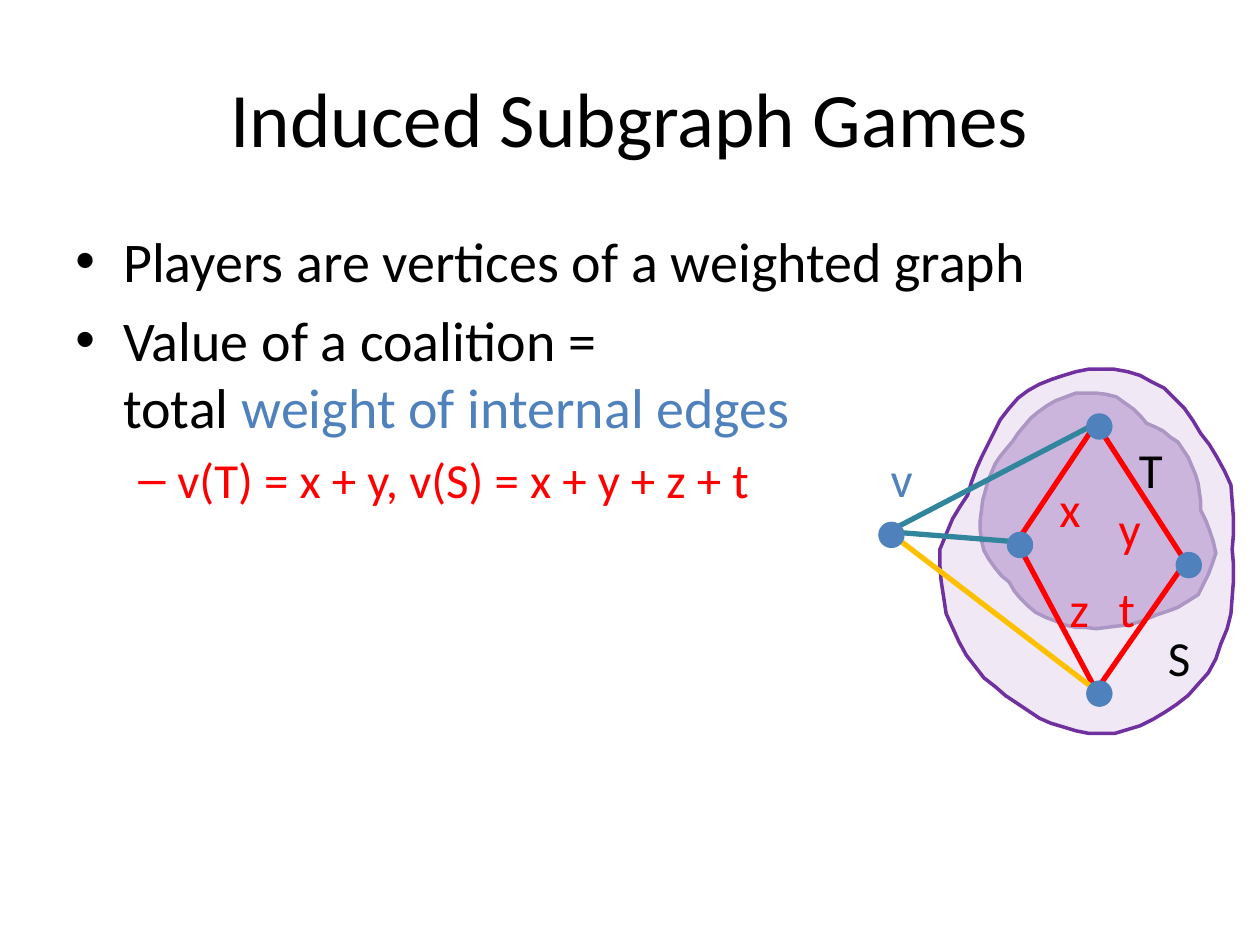
from math import cos, radians, sin

from lxml.etree import SubElement
from pptx import Presentation
from pptx.dml.color import RGBColor
from pptx.enum.shapes import MSO_CONNECTOR as CONNECTOR, MSO_SHAPE as SHAPE
from pptx.enum.text import MSO_ANCHOR as ANCHOR, MSO_AUTO_SIZE as AUTO_SIZE, PP_ALIGN as ALIGN
from pptx.oxml.ns import qn
from pptx.util import Pt

PX = 9144  # 100 px to the inch
BLACK = RGBColor(0x00, 0x00, 0x00)
RED = RGBColor(0xFF, 0x00, 0x00)
BLUE = RGBColor(0x4F, 0x81, 0xBD)
TEAL = RGBColor(0x31, 0x85, 0x9C)
AMBER = RGBColor(0xFF, 0xC0, 0x00)
PURPLE = RGBColor(0x70, 0x30, 0xA0)
LILAC = RGBColor(0xB3, 0xA2, 0xC7)


def add_run(paragraph, text, size=28, color=BLACK):
    run = paragraph.add_run()
    run.text = text
    run.font.name = "Calibri"
    run.font.size = Pt(size)
    run.font.color.rgb = color


def add_coalition(center, radius, wobble, line_color, opacity):
    """Draw a translucent ellipse with an uneven edge.

    wobble gives the reach of the edge in percent of the radius, at equal
    angles clockwise from the right; between them it changes evenly.
    """
    sector = 360 // len(wobble)
    points = []
    for angle in range(0, 360, 5):
        index, offset = divmod(angle, sector)
        start, end = wobble[index], wobble[(index + 1) % len(wobble)]
        reach = (start + (end - start) * offset / sector) / 100
        points.append((round(center[0] + radius[0] * reach * cos(radians(angle))),
                       round(center[1] + radius[1] * reach * sin(radians(angle)))))
    builder = slide.shapes.build_freeform(*points[0], scale=PX)
    builder.add_line_segments(points[1:], close=True)
    region = builder.convert_to_shape()
    region.shadow.inherit = False
    region.fill.solid()
    region.fill.fore_color.rgb = PURPLE
    color = region.fill._xPr.find(qn("a:solidFill"))[0]
    SubElement(color, qn("a:alpha"), val=str(opacity * 1000))
    region.line.color.rgb = line_color
    region.line.width = Pt(2)


presentation = Presentation()
presentation.slide_width = 1000 * PX
presentation.slide_height = 750 * PX
slide = presentation.slides.add_slide(presentation.slide_layouts[5])

# Title
title = slide.shapes.title
title.left, title.top, title.width, title.height = 50 * PX, 30 * PX, 900 * PX, 125 * PX
title.text_frame.vertical_anchor = ANCHOR.MIDDLE
title_paragraph = title.text_frame.paragraphs[0]
title_paragraph.alignment = ALIGN.CENTER
add_run(title_paragraph, "Induced Subgraph Games", size=44)

# Body: one style per outline level, then paragraphs made of lines of runs
LEVELS = [
    {"bullet": "•", "margin": 38, "hanging": 38, "size": 32},
    {"bullet": "–", "margin": 81, "hanging": 31, "size": 28},
]
BODY = [
    (0, [[("Players are vertices of a weighted graph", BLACK)]]),
    (0, [[("Value of a coalition = ", BLACK)],
         [("total ", BLACK), ("weight of internal edges", BLUE)]]),
    (1, [[("v(T) = x + y, v(S) = x + y + z + t", RED)]]),
]
body = slide.shapes.add_textbox(50 * PX, 175 * PX, 900 * PX, 554 * PX).text_frame
body.word_wrap = True
for index, (level, lines) in enumerate(BODY):
    style = LEVELS[level]
    paragraph = body.add_paragraph() if index else body.paragraphs[0]
    properties = paragraph._p.get_or_add_pPr()
    properties.set("marL", str(style["margin"] * PX))
    properties.set("indent", str(-style["hanging"] * PX))
    SubElement(properties, qn("a:buFont"), typeface="Arial")
    SubElement(properties, qn("a:buChar"), char=style["bullet"])
    paragraph.level = level
    paragraph.space_before = Pt(style["size"] * 0.2 if index else 0)
    for line_index, runs in enumerate(lines):
        if line_index:
            paragraph.add_line_break()
        for text, color in runs:
            add_run(paragraph, text, size=style["size"], color=color)

# Coalitions: T lies inside S, and S is drawn over it
T_WOBBLE = [87, 106, 111, 102, 99, 100, 100, 95, 100, 96, 93, 91, 96, 100, 97, 85, 89, 88]
S_WOBBLE = [95, 100, 103, 101, 100, 97, 95, 98, 100, 98, 85, 87, 94, 95, 98, 100, 97, 100]
add_coalition((870, 405), (95, 94), T_WOBBLE, LILAC, opacity=28)
add_coalition((864, 436), (120, 148), S_WOBBLE, PURPLE, opacity=10)

# Graph: corners of the vertex dots, and edges between named vertices
VERTEX_SIZE = 21
EDGE_INSET = 8  # from a dot's corner to the end of its edges
VERTICES = {
    "top": (862, 328),
    "left": (799, 422),
    "right": (933, 438),
    "bottom": (862, 540),
    "outside": (697, 414),
}
EDGES = [
    ("top", "right", RED), ("bottom", "right", RED),
    ("top", "left", RED), ("left", "bottom", RED),
    ("outside", "top", TEAL), ("outside", "bottom", AMBER), ("outside", "left", TEAL),
]
for start, end, color in EDGES:
    ends = [(corner + EDGE_INSET) * PX for corner in VERTICES[start] + VERTICES[end]]
    edge = slide.shapes.add_connector(CONNECTOR.STRAIGHT, *ends)
    edge.line.color.rgb = color
    edge.line.width = Pt(3)
    SubElement(edge._element.spPr, qn("a:effectLst"))

for left, top in VERTICES.values():
    vertex = slide.shapes.add_shape(
        SHAPE.OVAL, left * PX, top * PX, VERTEX_SIZE * PX, VERTEX_SIZE * PX)
    vertex.shadow.inherit = False
    vertex.fill.solid()
    vertex.fill.fore_color.rgb = BLUE
    vertex.line.fill.background()

# Labels of the outside vertex, the coalitions and the edge weights
LABEL_HEIGHT = 57
LABELS = [
    ("v", 697, 351, 29, BLUE), ("T", 894, 344, 39, BLACK), ("S", 917, 493, 38, BLACK),
    ("x", 831, 375, 37, RED), ("y", 878, 391, 38, RED),
    ("z", 839, 454, 36, RED), ("t", 878, 454, 33, RED),
]
for text, left, top, width, color in LABELS:
    label = slide.shapes.add_textbox(
        left * PX, top * PX, width * PX, LABEL_HEIGHT * PX).text_frame
    label.word_wrap = text == "v"
    label.auto_size = AUTO_SIZE.SHAPE_TO_FIT_TEXT
    add_run(label.paragraphs[0], text, color=color)

presentation.save("out.pptx")
